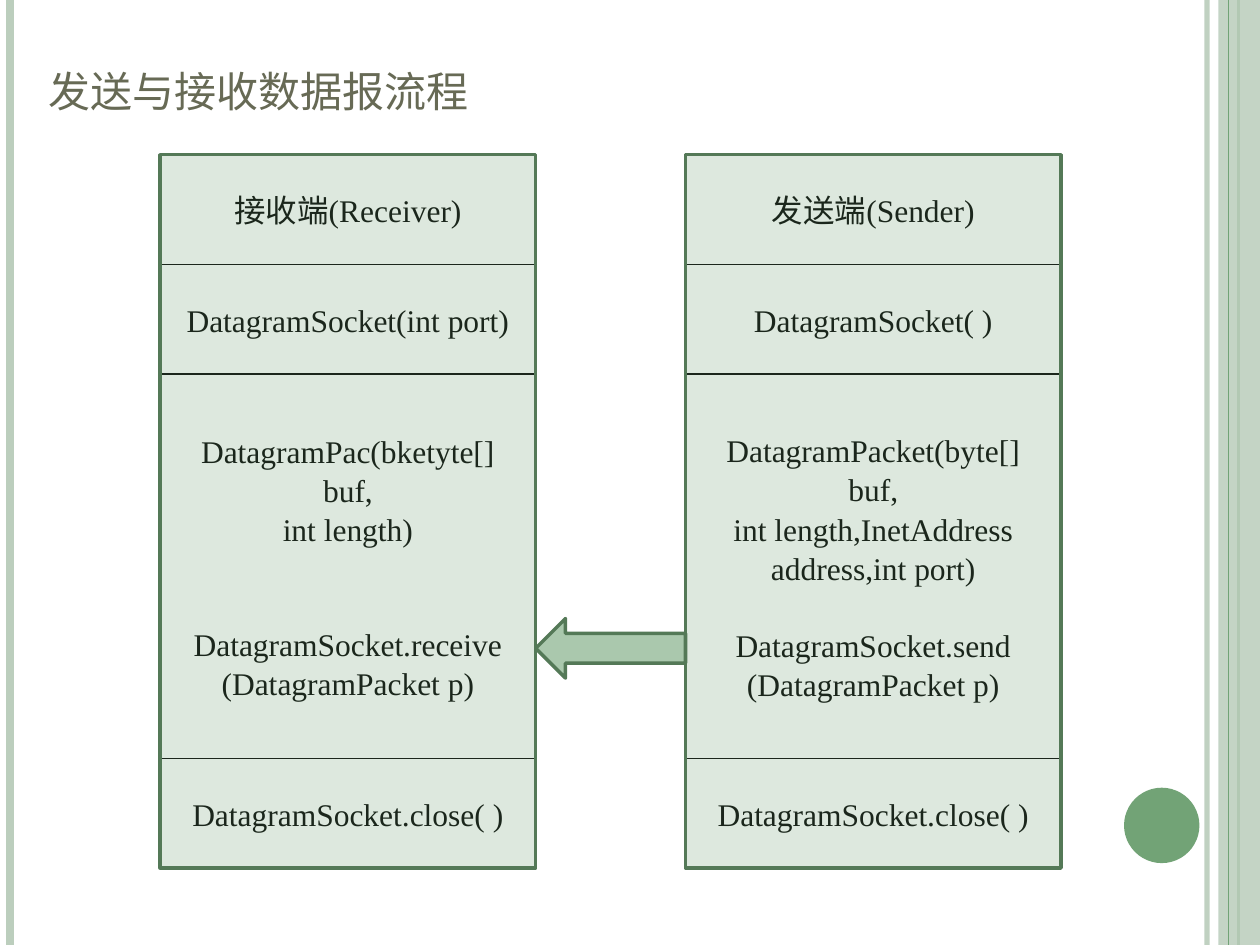
from dataclasses import dataclass
from typing import Optional

from lxml.etree import SubElement
from pptx import Presentation
from pptx.dml.color import RGBColor
from pptx.enum.shapes import MSO_CONNECTOR as Connector, MSO_SHAPE as Preset
from pptx.enum.text import MSO_ANCHOR as Anchor, PP_ALIGN as Align
from pptx.oxml.ns import qn
from pptx.util import Cm, Pt

COLORS = {
    "white": "FFFFFF",
    "black": "000000",
    "title": "676A55",
    "pale": "BCCEBD",
    "green": "72A376",
    "outline": "547957",
    "arrow": "AAC8AD",
}
PAGE_WIDTH, PAGE_HEIGHT = 25.4, 19.05
COLUMN_TOP, COLUMN_WIDTH = 3.12, 7.57
ROW_HEIGHTS = (2.21, 2.21, 7.75, 2.21)
COLUMN_HEIGHT = sum(ROW_HEIGHTS)
LINE_PITCH = 21.5  # points taken by one line of 18 pt text


@dataclass
class Stripe:
    left: float
    weight: float
    color: str
    opacity: int = 100


@dataclass
class Line:
    text: str
    gap_lines: int = 0


@dataclass
class Column:
    left: float
    steps: list[list[Line]]


STRIPES_BELOW = [
    Stripe(24.33, 3, "pale", 93),
    Stripe(0.2, 4.5, "pale"),
    Stripe(24.97, 1.5, "green"),
]
STRIPE_ABOVE = Stripe(24.77, 0.75, "green")

RECEIVER = Column(3.23, [
    [Line("接收端(Receiver)")],
    [Line("DatagramSocket(int port)")],
    [Line("DatagramPac(bketyte[] buf,"), Line("int length)"),
     Line("DatagramSocket.receive", 2), Line("(DatagramPacket p)")],
    [Line("DatagramSocket.close( )")],
])
SENDER = Column(13.82, [
    [Line("发送端(Sender)")],
    [Line("DatagramSocket( )")],
    [Line("DatagramPacket(byte[] buf,"),
     Line("int length,InetAddress address,int port)"),
     Line("DatagramSocket.send", 1), Line("(DatagramPacket p)")],
    [Line("DatagramSocket.close( )")],
])


def rgb(name: str) -> RGBColor:
    return RGBColor.from_string(COLORS[name])


def set_opacity(properties, percent: int) -> None:
    """Make the first solid colour inside the element translucent."""
    if percent < 100:
        color = next(properties.iter(qn("a:srgbClr")))
        SubElement(color, qn("a:alpha")).set("val", str(percent * 1000))


def add_stripe(page, stripe: Stripe) -> None:
    left = Cm(stripe.left)
    line = page.shapes.add_connector(
        Connector.STRAIGHT, left, 0, left, Cm(PAGE_HEIGHT))
    line.line.color.rgb = rgb(stripe.color)
    line.line.width = Pt(stripe.weight)
    properties = line._element.spPr
    set_opacity(properties, stripe.opacity)
    SubElement(properties, qn("a:effectLst"))


def add_box(page, preset: Preset, left: float, top: float, width: float,
            height: float, fill: str, opacity: int = 100,
            line: Optional[str] = None, weight: float = 0.75):
    box = page.shapes.add_shape(
        preset, Cm(left), Cm(top), Cm(width), Cm(height))
    box.shadow.inherit = False
    box.fill.solid()
    box.fill.fore_color.rgb = rgb(fill)
    set_opacity(box._element.spPr, opacity)
    if line:
        box.line.color.rgb = rgb(line)
        box.line.width = Pt(weight)
    else:
        box.line.fill.background()
    return box


def write_text(box, lines: list[Line], *, size: float, font: str, color: str,
               align: Align, anchor: Anchor, inset: float = 0.26,
               spacing: float = 1.0, small_caps: bool = False) -> None:
    frame = box.text_frame
    frame.word_wrap = True
    frame.vertical_anchor = anchor
    frame.margin_left = frame.margin_right = Cm(inset)
    for index, line in enumerate(lines):
        para = frame.add_paragraph() if index else frame.paragraphs[0]
        para.alignment = align
        para.line_spacing = spacing
        if line.gap_lines:
            para.space_before = Pt(line.gap_lines * LINE_PITCH)
        span = para.add_run()
        span.text = line.text
        span.font.size = Pt(size)
        span.font.name = font
        span.font.color.rgb = rgb(color)
        if small_caps:
            span._r.get_or_add_rPr().set("cap", "small")


def add_column(page, column: Column) -> None:
    top = COLUMN_TOP
    for height, lines in zip(ROW_HEIGHTS, column.steps):
        box = add_box(page, Preset.RECTANGLE, column.left, top, COLUMN_WIDTH,
                      height, "white", line="black")
        write_text(box, lines, size=18, font="Times New Roman", color="black",
                   align=Align.CENTER, anchor=Anchor.MIDDLE, inset=0.3,
                   spacing=1.04)
        top += height


def main() -> None:
    deck = Presentation()
    deck.slide_width, deck.slide_height = Cm(PAGE_WIDTH), Cm(PAGE_HEIGHT)
    page = deck.slides.add_slide(deck.slide_layouts[6])
    page.background.fill.solid()
    page.background.fill.fore_color.rgb = rgb("white")

    # Side stripes, right band and corner disc
    for stripe in STRIPES_BELOW:
        add_stripe(page, stripe)
    add_box(page, Preset.RECTANGLE, 24.56, 0, 0.84, PAGE_HEIGHT, "pale", 87)
    add_stripe(page, STRIPE_ABOVE)
    add_box(page, Preset.OVAL, 22.66, 15.88, 1.52, 1.52, "green")

    # Title
    title = page.shapes.add_textbox(Cm(0.71), Cm(0.76), Cm(24), Cm(1.75))
    write_text(title, [Line("发送与接收数据报流程")], size=30, font="Arial",
               color="title", align=Align.LEFT, anchor=Anchor.BOTTOM,
               small_caps=True)

    # Steps of both sides, then a green tint over each column
    columns = (RECEIVER, SENDER)
    for column in columns:
        add_column(page, column)
    for column in columns:
        add_box(page, Preset.RECTANGLE, column.left, COLUMN_TOP, COLUMN_WIDTH,
                COLUMN_HEIGHT, "green", 24, line="outline", weight=2)

    # Arrow from sender to receiver
    arrow_left = RECEIVER.left + COLUMN_WIDTH
    add_box(page, Preset.LEFT_ARROW, arrow_left, 12.47,
            SENDER.left - arrow_left, 1.2, "arrow", line="outline", weight=2)

    deck.save("out.pptx")


if __name__ == "__main__":
    main()
